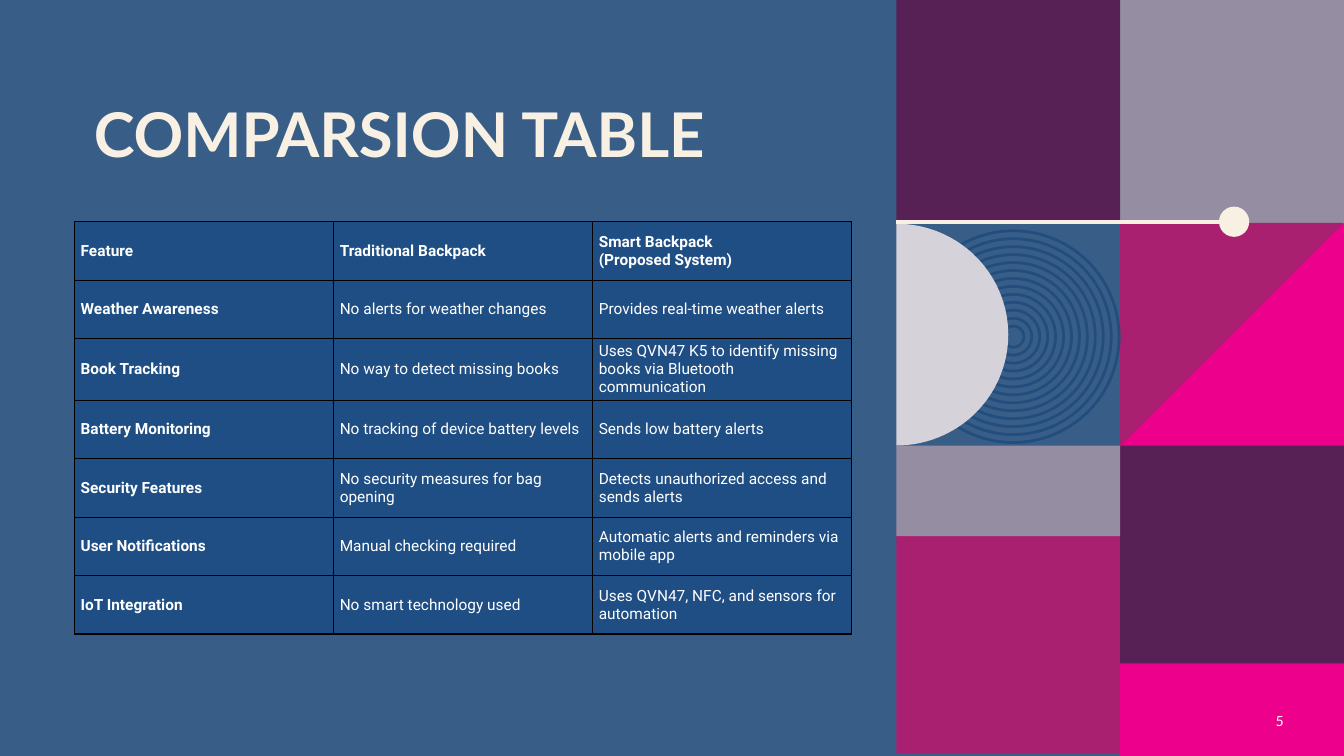
import math

import pptx
import pptx.dml.color
import pptx.enum.shapes
import pptx.enum.text
import pptx.oxml
import pptx.oxml.ns
import pptx.util

Inches = pptx.util.Inches
SHAPES = pptx.enum.shapes.MSO_SHAPE
ANCHOR = pptx.enum.text.MSO_ANCHOR
ALIGN = pptx.enum.text.PP_ALIGN

BLUE, RING_BLUE, CELL_BLUE = "385E88", "224E7F", "1F4E84"
PURPLE, BERRY, PINK = "582156", "AA2070", "EC008C"
MAUVE, PALE, CREAM = "958EA2", "D5D2DA", "F8F0E3"
WHITE, BLACK = "FFFFFF", "000000"

COMPARISON = [
    ("Feature", "Traditional Backpack", "Smart Backpack\v(Proposed System)"),
    ("Weather Awareness", "No alerts for weather changes",
     "Provides real-time weather alerts"),
    ("Book Tracking", "No way to detect missing books",
     "Uses QVN47 K5 to identify missing books via Bluetooth communication"),
    ("Battery Monitoring", "No tracking of device battery levels",
     "Sends low battery alerts"),
    ("Security Features", "No security measures for bag opening",
     "Detects unauthorized access and sends alerts"),
    ("User Notifications", "Manual checking required",
     "Automatic alerts and reminders via mobile app"),
    ("IoT Integration", "No smart technology used",
     "Uses QVN47, NFC, and sensors for automation"),
]


def rgb(value):
    return pptx.dml.color.RGBColor.from_string(value)


def set_font(paragraph, name, size, color, bold=False):
    font = paragraph.font
    font.name, font.size, font.bold = name, pptx.util.Pt(size), bold
    font.color.rgb = rgb(color)


def paint(shape, fill=None, line=None, width=2):
    shape.shadow.inherit = False
    if fill:
        shape.fill.solid()
        shape.fill.fore_color.rgb = rgb(fill)
    else:
        shape.fill.background()
    if line:
        shape.line.color.rgb = rgb(line)
        shape.line.width = pptx.util.Pt(width)
    else:
        shape.line.fill.background()


def add_block(slide, kind, left, top, width, height, **colors):
    shape = slide.shapes.add_shape(
        kind, Inches(left), Inches(top), Inches(width), Inches(height))
    paint(shape, **colors)


def add_polygon(slide, points, fill):
    corners = [(Inches(x), Inches(y)) for x, y in points]
    builder = slide.shapes.build_freeform(*corners[0])
    builder.add_line_segments(corners[1:], close=True)
    paint(builder.convert_to_shape(), fill)


def add_rings(slide, center_x, center_y, largest, smallest, count):
    step = (largest - smallest) / (count - 1)
    for index in range(count):
        size = largest - index * step
        add_block(slide, SHAPES.OVAL, center_x - size / 2, center_y - size / 2,
                  size, size, line=RING_BLUE)


def add_mosaic(slide, left, top, tile):
    middle, right = left + tile, left + 2 * tile
    second_row, third_row = top + tile, top + 2 * tile - 0.02

    # Coloured tiles
    tiles = [
        (middle, second_row - 0.02, tile, PINK),
        (middle, top, tile, MAUVE),
        (left, top - 0.01, tile, PURPLE),
        (left, top + 5.26, tile, BERRY),
        (middle, third_row, tile, PURPLE),
        (middle, top + 6.58, 0.92, PINK),
    ]
    for tile_left, tile_top, height, color in tiles:
        add_block(slide, SHAPES.RECTANGLE, tile_left, tile_top, tile, height,
                  fill=color)
    add_polygon(slide, [(right, second_row - 0.01), (middle, third_row + 0.01),
                        (middle, second_row - 0.01)], BERRY)

    # Concentric rings and half disc
    add_rings(slide, left + 1.16, top + 3.34, 2.1, 0.21, 13)
    add_block(slide, SHAPES.RECTANGLE, left, third_row, tile, 0.9, fill=MAUVE)
    radius = (third_row - second_row) / 2
    angles = [math.radians(degrees) for degrees in range(-90, 91, 2)]
    add_polygon(slide, [(left + (radius + 0.01) * math.cos(angle),
                         second_row + radius + radius * math.sin(angle))
                        for angle in angles], PALE)

    # Line with a round end
    line_top = top + 2.2
    line = slide.shapes.add_connector(
        pptx.enum.shapes.MSO_CONNECTOR.STRAIGHT,
        Inches(left), Inches(line_top), Inches(left + 3.33), Inches(line_top))
    line.line.color.rgb = rgb(CREAM)
    line.line.width = pptx.util.Pt(3)
    properties = line._element.spPr
    properties.append(properties.makeelement(
        pptx.oxml.ns.qn("a:effectLst"), {}))
    add_block(slide, SHAPES.OVAL, left + 3.2, line_top - 0.15, 0.3, 0.3,
              fill=CREAM)


def add_title(slide, left, top, width, height):
    title = slide.shapes.title
    title.left, title.top = Inches(left), Inches(top)
    title.width, title.height = Inches(width), Inches(height)
    frame = title.text_frame
    frame.text = "COMPARSION TABLE"
    frame.vertical_anchor = ANCHOR.TOP
    frame.word_wrap = True
    paragraph = frame.paragraphs[0]
    paragraph.alignment = ALIGN.LEFT
    paragraph.line_spacing = 0.9
    set_font(paragraph, "Lato", 44, CREAM, bold=True)


def add_borders(cell, color, width):
    properties = cell._tc.get_or_add_tcPr()
    namespace = pptx.oxml.ns.nsdecls("a")
    for side in ("lnL", "lnR", "lnT", "lnB"):
        properties.append(pptx.oxml.parse_xml(
            f'<a:{side} {namespace} w="{pptx.util.Pt(width)}"><a:solidFill>'
            f'<a:srgbClr val="{color}"/></a:solidFill></a:{side}>'))


def add_comparison(slide, left, top, column_width, row_height):
    rows, columns = len(COMPARISON), len(COMPARISON[0])
    table = slide.shapes.add_table(
        rows, columns, Inches(left), Inches(top),
        Inches(column_width * columns), Inches(row_height * rows)).table
    for row, texts in enumerate(COMPARISON):
        for column, text in enumerate(texts):
            cell = table.cell(row, column)
            cell.text = text
            cell.vertical_anchor = ANCHOR.MIDDLE
            cell.margin_left, cell.margin_right = Inches(0.06), Inches(0.08)
            cell.margin_top = cell.margin_bottom = Inches(0.03)
            add_borders(cell, BLACK, 1)
            cell.fill.solid()
            cell.fill.fore_color.rgb = rgb(CELL_BLUE)
            set_font(cell.text_frame.paragraphs[0], "Roboto", 11, WHITE,
                     bold=row == 0 or column == 0)


def add_page_number(slide, left, top, width, height):
    box = slide.shapes.add_textbox(
        Inches(left), Inches(top), Inches(width), Inches(height))
    frame = box.text_frame
    frame.text = "5"
    frame.word_wrap = True
    frame.vertical_anchor = ANCHOR.MIDDLE
    paragraph = frame.paragraphs[0]
    paragraph.alignment = ALIGN.RIGHT
    set_font(paragraph, "Lato", 10, WHITE)


def main():
    presentation = pptx.Presentation()
    presentation.slide_width = Inches(13.33)
    presentation.slide_height = Inches(7.5)
    slide = presentation.slides.add_slide(presentation.slide_layouts[5])
    slide.background.fill.solid()
    slide.background.fill.fore_color.rgb = rgb(BLUE)

    add_mosaic(slide, 8.89, 0, 2.22)
    add_title(slide, 0.83, 0.98, 7.21, 2.17)
    add_page_number(slide, 12.33, 6.95, 0.5, 0.4)
    add_comparison(slide, 0.74, 2.2, 2.57, 0.58)
    presentation.save("out.pptx")


if __name__ == "__main__":
    main()
